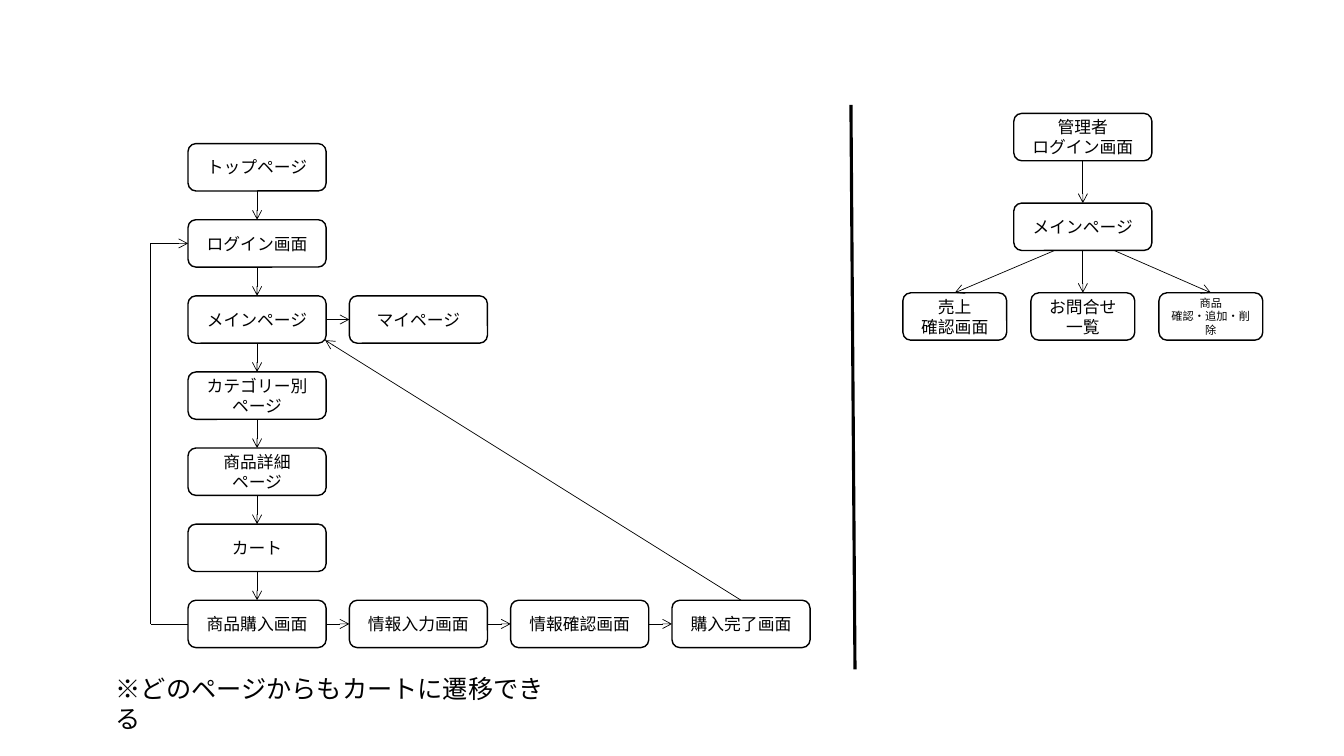
from dataclasses import dataclass

from lxml.etree import SubElement
from pptx import Presentation
from pptx.dml.color import RGBColor
from pptx.enum.shapes import MSO_CONNECTOR, MSO_SHAPE
from pptx.enum.text import MSO_ANCHOR, PP_ALIGN
from pptx.oxml.ns import qn
from pptx.shapes.autoshape import Shape
from pptx.shapes.connector import Connector
from pptx.slide import Slide
from pptx.text.text import TextFrame
from pptx.util import Inches, Pt

BLACK = RGBColor(0x00, 0x00, 0x00)
WHITE = RGBColor(0xFF, 0xFF, 0xFF)
TOP, LEFT, BOTTOM, RIGHT = range(4)
HIGH = 0.47
WIDE = 1.37
SMALL = 1.03
FRAME = {"word_wrap": True, "vertical_anchor": MSO_ANCHOR.MIDDLE}
NOTE = {"word_wrap": True}


@dataclass(frozen=True)
class Grid:
    """Centre of the first cell, and the steps between cell centres."""
    left: float
    top: float
    across: float
    down: float

    def spot(self, col: float, row: float) -> tuple[float, float]:
        return self.left + col * self.across, self.top + row * self.down


@dataclass(frozen=True)
class Page:
    text: str
    grid: Grid
    col: int
    row: int
    width: float = WIDE
    size: int = 12


@dataclass(frozen=True)
class Link:
    """An arrow from one page's side to another's."""
    start: str
    out: int
    end: str
    into: int


SHOP = Grid(2.55, 1.66, 1.6, 4.53 / 6)
ADMIN = Grid(9.47, 1.36, 1.27, 0.89)

PAGES = {
    "top": Page("トップページ", SHOP, 0, 0),
    "login": Page("ログイン画面", SHOP, 0, 1),
    "main": Page("メインページ", SHOP, 0, 2),
    "class": Page("カテゴリー別\nページ", SHOP, 0, 3),
    "item": Page("商品詳細\nページ", SHOP, 0, 4),
    "cart": Page("カート", SHOP, 0, 5),
    "buy": Page("商品購入画面", SHOP, 0, 6),
    "enter": Page("情報入力画面", SHOP, 1, 6),
    "check": Page("情報確認画面", SHOP, 2, 6),
    "done": Page("購入完了画面", SHOP, 3, 6),
    "my": Page("マイページ", SHOP, 1, 2),
    "staff": Page("管理者\nログイン画面", ADMIN, 1, 0),
    "hub": Page("メインページ", ADMIN, 1, 1),
    "sales": Page("売上\n確認画面", ADMIN, 0, 2, SMALL),
    "asks": Page("お問合せ\n一覧", ADMIN, 1, 2, SMALL),
    "stock": Page("商品\n確認・追加・削除", ADMIN, 2, 2, SMALL, 8),
}
DOWN = ["top", "login", "main", "class", "item", "cart", "buy"]
ACROSS = ["buy", "enter", "check", "done"]


def chain(names: list[str], out: int, into: int) -> list[Link]:
    return [Link(a, out, b, into) for a, b in zip(names, names[1:])]


LINKS = (
    chain(DOWN, BOTTOM, TOP)
    + chain(ACROSS, RIGHT, LEFT)
    + chain(["main", "my"], RIGHT, LEFT)
    + chain(["staff", "hub", "asks"], BOTTOM, TOP)
)


def write(frame: TextFrame, text: str, size: int, look: dict,
          align: PP_ALIGN) -> None:
    for name, value in look.items():
        setattr(frame, name, value)
    frame.text = text
    for para in frame.paragraphs:
        para.alignment = align
        for name, value in {"name": "Calibri", "size": Pt(size)}.items():
            setattr(para.font, name, value)
        para.font.color.rgb = BLACK


def draw(slide: Slide, page: Page) -> Shape:
    x, y = page.grid.spot(page.col, page.row)
    box = slide.shapes.add_shape(
        MSO_SHAPE.ROUNDED_RECTANGLE,
        Inches(x - page.width / 2), Inches(y - HIGH / 2),
        Inches(page.width), Inches(HIGH))
    box.shadow.inherit = False
    box.fill.solid()
    box.fill.fore_color.rgb = WHITE
    box.line.color.rgb = BLACK
    box.line.width = Pt(1)
    write(box.text_frame, page.text, page.size, FRAME, PP_ALIGN.CENTER)
    return box


def rule(slide: Slide, start: tuple[float, float], end: tuple[float, float],
         width: float = 0.5, arrow: bool = False) -> Connector:
    line = slide.shapes.add_connector(
        MSO_CONNECTOR.STRAIGHT, *map(Inches, start + end))
    line.line.color.rgb = BLACK
    line.line.width = Pt(width)
    if arrow:
        SubElement(line.line._get_or_add_ln(), qn("a:tailEnd"), type="arrow")
    SubElement(line._element.spPr, qn("a:effectLst"))
    return line


def main() -> None:
    deck = Presentation()
    deck.slide_width, deck.slide_height = Inches(13.33), Inches(7.5)
    slide = deck.slides.add_slide(deck.slide_layouts[6])

    boxes = {name: draw(slide, page) for name, page in PAGES.items()}
    for link in LINKS:
        line = rule(slide, (0, 0), (1, 1), arrow=True)
        line.begin_connect(boxes[link.start], link.out)
        line.end_connect(boxes[link.end], link.into)

    # Branches fan out from either side of the admin main page
    x, y = ADMIN.spot(1, 1)
    for name, shift in {"sales": -0.28, "stock": 0.31}.items():
        line = rule(slide, (x + shift, y + HIGH / 2), (x, y + 1), arrow=True)
        line.end_connect(boxes[name], TOP)

    # Finished purchase returns to the corner of the main page
    x, y = SHOP.spot(0, 2)
    back = rule(slide, SHOP.spot(3, 6),
                (x + WIDE / 2 - 0.01, y + HIGH / 2 - 0.03), arrow=True)
    back.begin_connect(boxes["done"], TOP)

    # Purchase page loops back to login along the left edge
    x = SHOP.left - WIDE / 2 - 0.37
    high, low = (x, SHOP.spot(0, 1)[1]), (x, SHOP.spot(0, 6)[1])
    rule(slide, high, low)
    rule(slide, low, SHOP.spot(0, 6)).end_connect(boxes["buy"], LEFT)
    loop = rule(slide, high, SHOP.spot(0, 1), arrow=True)
    loop.end_connect(boxes["login"], LEFT)

    rule(slide, (8.44, 1.04), (8.48, 6.64), 2.25)
    note = slide.shapes.add_textbox(*map(Inches, (1.05, 6.63, 4.61, 0.4)))
    write(note.text_frame, "※どのページからもカートに遷移できる", 18, NOTE,
          PP_ALIGN.LEFT)
    deck.save("out.pptx")


if __name__ == "__main__":
    main()
